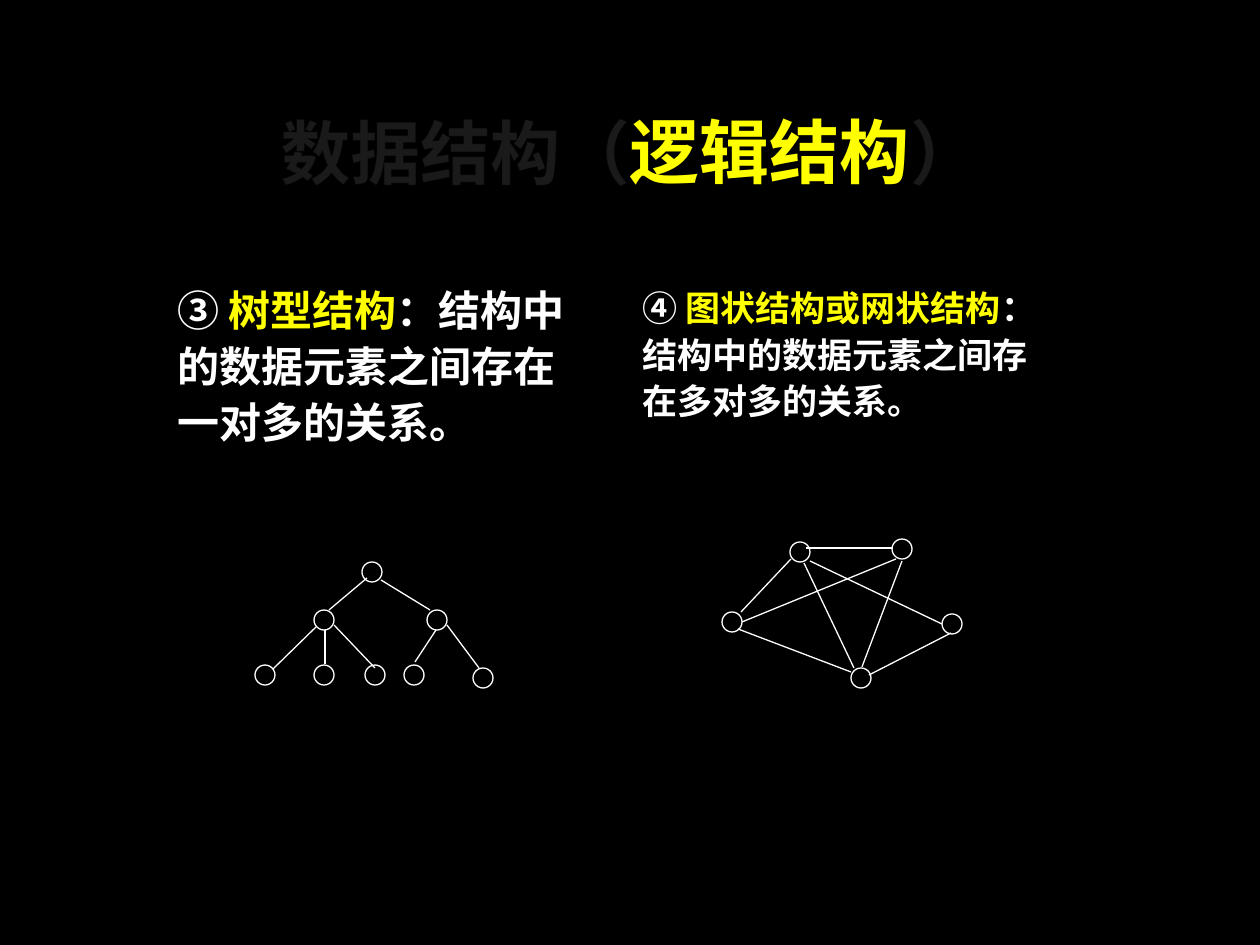
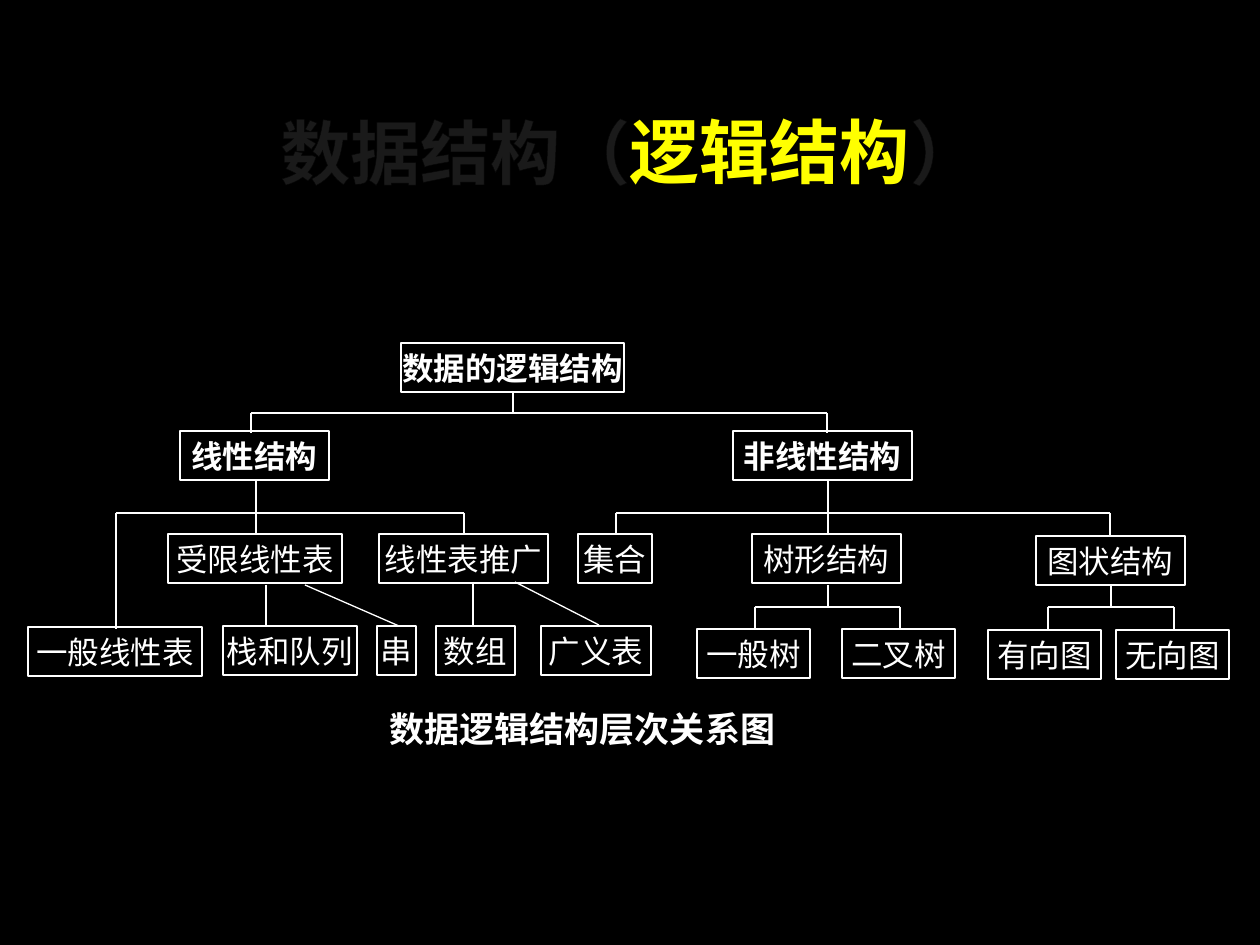
from lxml import etree
from pptx import Presentation
from pptx.dml.color import RGBColor
from pptx.enum.shapes import MSO_CONNECTOR, MSO_SHAPE
from pptx.enum.text import MSO_ANCHOR, PP_ALIGN
from pptx.oxml.ns import qn
from pptx.util import Emu, Pt

STRAIGHT = MSO_CONNECTOR.STRAIGHT
CIRCLE, RECTANGLE = MSO_SHAPE.FLOWCHART_CONNECTOR, MSO_SHAPE.RECTANGLE
CENTER, LEFT = PP_ALIGN.CENTER, PP_ALIGN.LEFT
MIDDLE, TOP = MSO_ANCHOR.MIDDLE, MSO_ANCHOR.TOP

PX_PER_INCH = 126
COLORS = {"ground": "000000", "ink": "FFFFFF", "key": "FFFF00", "outline": "404040"}
CJK, LATIN = "Noto Sans CJK SC", "Times New Roman"
LINE_PT = 0.75
NODE = 20
BOX_HEIGHT = 49

TITLE_AREA = (95, 84, 1070, 134)
TITLE = [("数据结构（", "ink"), ("逻辑结构", "key"), ("）", "ink")]

# area, size in points, runs
DEFINITIONS = [
    ((165, 273, 415, 180), 24,
     [("③ ", "ink"), ("树型结构", "key"), ("：结构中的数据元素之间存在一对多的关系。", "ink")]),
    ((630, 276, 425, 152), 20,
     [("④ ", "ink"), ("图状结构或网状结构", "key"), ("：结构中的数据元素之间存在多对多的关系。", "ink")]),
]

# nodes: left, top; edges: from x, y, to x, y
TREE = {
    "nodes": [(362, 562), (314, 610), (427, 610), (255, 665),
              (314, 665), (365, 665), (404, 665), (473, 668)],
    "edges": [(367, 578, 329, 610), (381, 580, 430, 610), (316, 627, 273, 669),
              (325, 630, 325, 664), (334, 625, 375, 668), (436, 630, 415, 662),
              (447, 625, 479, 668)],
}
GRAPH = {
    "nodes": [(790, 542), (892, 539), (722, 612), (942, 614), (851, 668)],
    "edges": [(806, 548, 893, 548), (738, 629, 851, 672), (791, 559, 741, 612),
              (902, 561, 862, 667), (810, 561, 942, 624), (951, 633, 869, 675),
              (742, 622, 896, 559), (804, 563, 854, 668)],
}

# text, left, top, width
MAIN_CLASSES = [
    ("数据的逻辑结构", 401, 343, 223),
    ("线性结构", 180, 431, 149),
    ("非线性结构", 733, 431, 179),
]
SUBCLASSES = [
    ("受限线性表", 168, 534, 174),
    ("线性表推广", 379, 534, 169),
    ("集合", 578, 534, 74),
    ("树形结构", 752, 534, 149),
    ("图状结构", 1036, 536, 149),
    ("一般线性表", 28, 627, 174),
    ("栈和队列", 223, 626, 134),
    ("串", 377, 626, 39),
    ("数组", 436, 626, 79),
    ("广义表", 541, 626, 110),
    ("一般树", 697, 629, 113),
    ("二叉树", 842, 629, 113),
    ("有向图", 988, 630, 113),
    ("无向图", 1116, 630, 113),
]
# stem x, stem top, stem bottom, bar y, outer drops as (x, bottom)
FORKS = [
    (513, 393, 413, 413, [(251, 433), (827, 433)]),
    (256, 481, 534, 513, [(116, 629), (464, 534)]),
    (828, 481, 534, 513, [(616, 535), (1110, 535)]),
    (828, 585, 606, 607, [(755, 629), (900, 629)]),
    (1111, 586, 607, 607, [(1048, 629), (1174, 629)]),
]
DIRECT_LINKS = [(266, 585, 266, 626), (305, 585, 399, 626),
                (473, 582, 473, 625), (515, 582, 599, 625)]
CAPTION_AREA = (292, 697, 581, 63)
CAPTION = "数据逻辑结构层次关系图"


def px(*lengths):
    return [Emu(round(length * 914400 / PX_PER_INCH)) for length in lengths]


def color(name):
    return RGBColor.from_string(COLORS[name])


def write(frame, runs, size, font=CJK, bold=True, align=LEFT, anchor=TOP, wrap=True):
    """Fill a text frame with one paragraph of (text, colour) runs."""
    frame.word_wrap = wrap
    frame.vertical_anchor = anchor
    paragraph = frame.paragraphs[0]
    paragraph.alignment = align
    for text, ink in runs:
        run = paragraph.add_run()
        run.text = text
        run.font.size, run.font.bold, run.font.name = Pt(size), bold, font
        run.font.color.rgb = color(ink)
        etree.SubElement(run.font._element, qn("a:ea"), typeface=CJK)
    return paragraph


def add_text(slide, area, runs, size, **style):
    return write(slide.shapes.add_textbox(*px(*area)).text_frame, runs, size, **style)


def add_outlined(slide, preset, area):
    shape = slide.shapes.add_shape(preset, *px(*area))
    shape.shadow.inherit = False
    shape.fill.background()
    shape.line.color.rgb = color("ink")
    shape.line.width = Pt(LINE_PT)
    return shape


def add_line(slide, *ends):
    line = slide.shapes.add_connector(STRAIGHT, *px(*ends))
    line.line.color.rgb = color("ink")
    line.line.width = Pt(LINE_PT)
    etree.SubElement(line._element.spPr, qn("a:effectLst"))


def add_title(slide):
    """Add the title, its letters edged with a faint outline."""
    title = add_text(slide, TITLE_AREA, TITLE, 40, align=CENTER, anchor=MIDDLE)
    for run in title.runs:
        edge = etree.Element(qn("a:ln"), w=str(Pt(LINE_PT)))
        fill = etree.SubElement(edge, qn("a:solidFill"))
        tint = etree.SubElement(fill, qn("a:srgbClr"), val=COLORS["outline"])
        etree.SubElement(tint, qn("a:alpha"), val="10000")
        run.font._element.insert(0, edge)


def new_slide(deck):
    slide = deck.slides.add_slide(deck.slide_layouts[6])
    slide.background.fill.solid()
    slide.background.fill.fore_color.rgb = color("ground")
    add_title(slide)
    return slide


def add_network(slide, network):
    for left, top in network["nodes"]:
        add_outlined(slide, CIRCLE, (left, top, NODE, NODE))
    for edge in network["edges"]:
        add_line(slide, *edge)


def add_fork(slide, stem, stem_top, stem_bottom, bar, drops):
    add_line(slide, stem, stem_top, stem, stem_bottom)
    add_line(slide, drops[0][0], bar, drops[-1][0], bar)
    for x, bottom in drops:
        add_line(slide, x, bar, x, bottom)


def build_definitions(deck):
    slide = new_slide(deck)
    for area, size, runs in DEFINITIONS:
        add_text(slide, area, runs, size).line_spacing = Pt(round(size * 1.33, 1))
    for network in (TREE, GRAPH):
        add_network(slide, network)


def build_hierarchy(deck):
    slide = new_slide(deck)
    for boxes, bold in ((MAIN_CLASSES, True), (SUBCLASSES, False)):
        for text, left, top, width in boxes:
            box = add_outlined(slide, RECTANGLE, (left, top, width, BOX_HEIGHT))
            write(box.text_frame, [(text, "ink")], 18, font=LATIN, bold=bold,
                  align=CENTER, anchor=MIDDLE, wrap=False)
    for fork in FORKS:
        add_fork(slide, *fork)
    for link in DIRECT_LINKS:
        add_line(slide, *link)
    add_text(slide, CAPTION_AREA, [(CAPTION, "ink")], 20, align=CENTER, anchor=MIDDLE)


def main():
    deck = Presentation()
    deck.slide_width, deck.slide_height = px(1260, 945)
    build_definitions(deck)
    build_hierarchy(deck)
    deck.save("out.pptx")


if __name__ == "__main__":
    main()
